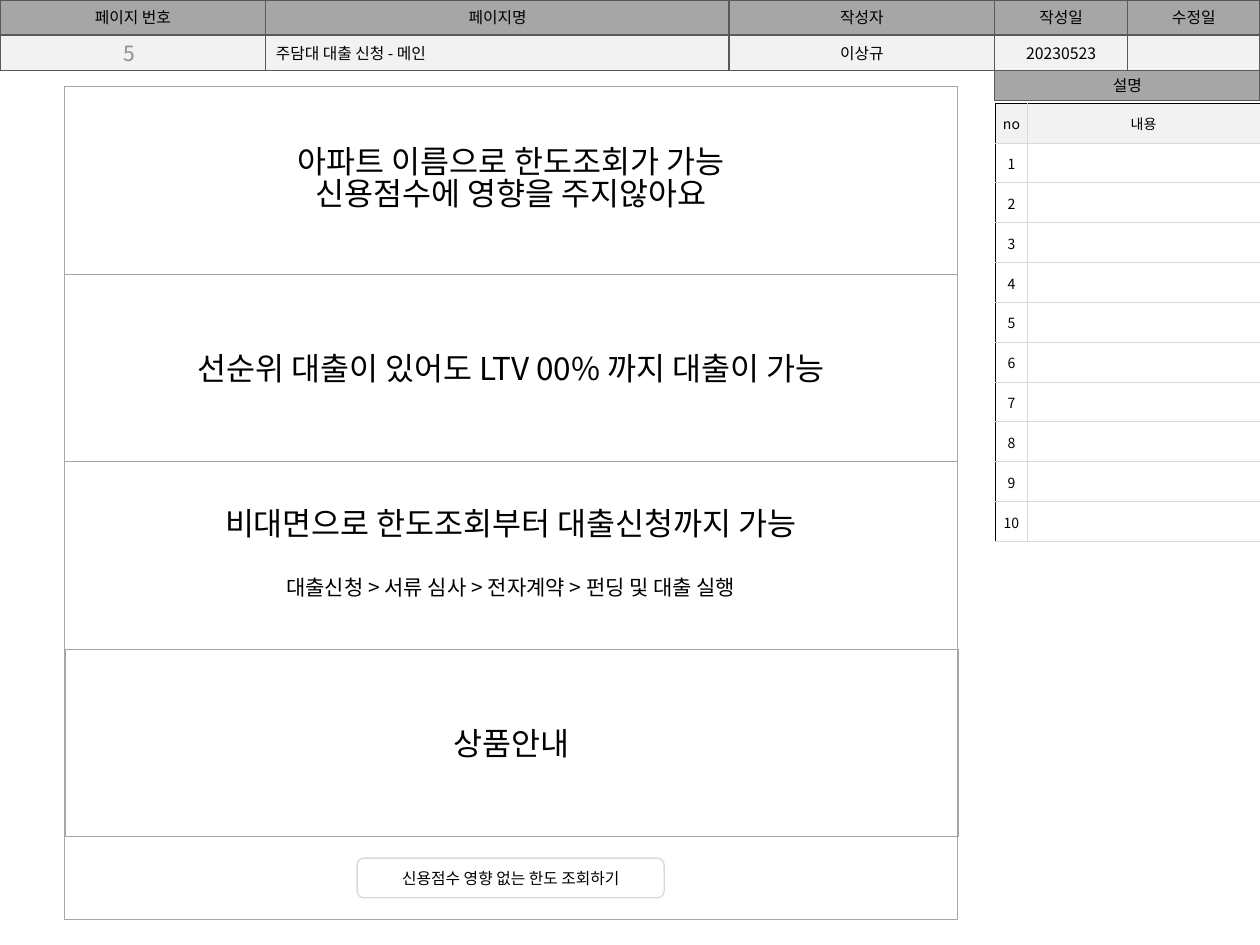
from itertools import pairwise

from lxml.etree import SubElement
from pptx import Presentation
from pptx.dml.color import RGBColor
from pptx.enum.shapes import MSO_SHAPE as Shape
from pptx.enum.text import MSO_ANCHOR as Anchor, PP_ALIGN as Align
from pptx.oxml.ns import qn
from pptx.util import Cm, Pt

THEME = {
    "font": "Noto Sans CJK KR",
    "ink": "000000", "muted": "8C8C8C", "head": "A6A6A6", "pale": "F2F2F2",
    "frame": "595959", "panel": "A6A6A6", "grid": "D9D9D9",
    "title": 18, "steps": 12, "label": 9, "note": 8,
    "frame_width": 0.75, "panel_width": 0.25, "grid_width": 0.5,
}

# Lengths are centimetres.
HEADER_EDGES = [0, 5.36, 14.7, 20.05, 22.73, 25.4]
HEADER_ROW = 0.71
HEADER = [
    ("head", ["페이지 번호", "페이지명", "작성자", "작성일", "수정일"]),
    ("pale", ["", "", "이상규", "20230523", ""]),
]
PAGE_NUMBER = "5"
PAGE_NAME = "주담대 대출 신청 - 메인"

NOTES_TITLE = "설명"
NOTES = [("no", "내용")] + [(str(number), "") for number in range(1, 11)]
NOTES_LEFT, NOTES_TOP, NOTES_HEIGHT = 20.07, 2.08, 8.84
NOTES_COLUMNS = [0.64, 4.69]

SCREEN = (1.3, 1.74, 18, 16.8)
PANEL_HEIGHT = 3.78
# Each panel: its left edge and its lines as (text, size, space before in points).
PANELS = [
    (1.3, [("아파트 이름으로 한도조회가 가능", "title", 0),
           ("신용점수에 영향을 주지않아요", "title", 0)]),
    (1.3, [("선순위 대출이 있어도 LTV 00% 까지 대출이 가능", "title", 0)]),
    (1.3, [("비대면으로 한도조회부터 대출신청까지 가능", "title", 0),
           ("대출신청 > 서류 심사 > 전자계약 > 펀딩 및 대출 실행", "steps", 21)]),
    (1.32, [("상품안내", "title", 0)]),
]
BUTTON = (7.2, 17.3, 6.19, 0.8)
BUTTON_TEXT = "신용점수 영향 없는 한도 조회하기"


def color(name):
    return RGBColor.from_string(THEME[name])


def set_values(target, values):
    for name, value in values.items():
        setattr(target, name, value)


def write(frame, lines, align=Align.CENTER, ink="ink"):
    """Fill a text frame with (text, size, space before) lines."""
    for index, (text, size, gap) in enumerate(lines):
        para = frame.add_paragraph() if index else frame.paragraphs[0]
        set_values(para, {"alignment": align, "space_before": Pt(gap)})
        if len(lines) > 1:
            para.line_spacing = 0.83
        span = para.add_run()
        span.text = text
        set_values(span.font, {"name": THEME["font"], "size": Pt(THEME[size])})
        span.font.color.rgb = color(ink)
        east_asian = SubElement(span.font._element, qn("a:ea"))
        east_asian.set("typeface", THEME["font"])


def add_box(page, place, lines=(), fill=None, line="frame", width="frame_width",
            kind=Shape.RECTANGLE):
    box = page.shapes.add_shape(kind, *map(Cm, place))
    box.shadow.inherit = False
    if fill:
        box.fill.solid()
        box.fill.fore_color.rgb = color(fill)
    else:
        box.fill.background()
    box.line.color.rgb = color(line)
    box.line.width = Pt(THEME[width])
    set_values(box.text_frame, {"word_wrap": True, "vertical_anchor": Anchor.MIDDLE})
    write(box.text_frame, lines)


def add_label(page, place, text, size, align, anchor, ink):
    label = page.shapes.add_textbox(*map(Cm, place))
    set_values(label.text_frame, {"word_wrap": True, "vertical_anchor": anchor})
    write(label.text_frame, [(text, size, 0)], align, ink)


def add_header(page):
    for row, (fill, texts) in enumerate(HEADER):
        for (left, right), text in zip(pairwise(HEADER_EDGES), texts):
            lines = [(text, "label", 0)] if text else []
            add_box(page, (left, row * HEADER_ROW, right - left, HEADER_ROW), lines, fill)
    add_label(page, (1.9, 0.71, 1.07, 0.71), PAGE_NUMBER, "steps",
              Align.RIGHT, Anchor.MIDDLE, "muted")
    add_label(page, (5.31, 0.76, 9.42, 0.64), PAGE_NAME, "label",
              Align.LEFT, Anchor.TOP, "ink")


def set_borders(cell, edges):
    """Put the borders, given as {side: colour name}, ahead of the cell's fill."""
    properties = cell._tc.get_or_add_tcPr()
    for position, (side, name) in enumerate(edges.items()):
        border = SubElement(properties, qn(f"a:ln{side}"), w=str(Pt(THEME["grid_width"])))
        fill = SubElement(border, qn("a:solidFill"))
        SubElement(fill, qn("a:srgbClr"), val=THEME[name])
        properties.insert(position, border)


def add_notes(page):
    left, right = HEADER_EDGES[3], HEADER_EDGES[-1]
    add_box(page, (left, 2 * HEADER_ROW, right - left, 0.61),
            [(NOTES_TITLE, "label", 0)], "head")
    table = page.shapes.add_table(
        len(NOTES), len(NOTES_COLUMNS), Cm(NOTES_LEFT), Cm(NOTES_TOP),
        Cm(sum(NOTES_COLUMNS)), Cm(NOTES_HEIGHT)).table
    set_values(table, {"first_row": False, "horz_banding": False})
    for column, width in zip(table.columns, NOTES_COLUMNS):
        column.width = Cm(width)
    for row, texts in enumerate(NOTES):
        for column, text in enumerate(texts):
            cell = table.cell(row, column)
            set_values(cell, {
                "margin_left": Cm(0.02), "margin_right": Cm(0.02),
                "margin_top": Cm(0.02), "margin_bottom": 0,
                "vertical_anchor": Anchor.MIDDLE})
            if row == 0:
                cell.fill.solid()
                cell.fill.fore_color.rgb = color("pale")
            else:
                cell.fill.background()
            set_borders(cell, {
                "L": "grid" if column else "ink", "R": "ink" if column else "grid",
                "T": "grid" if row else "ink", "B": "grid"})
            if text:
                write(cell.text_frame, [(text, "note", 0)])
            else:
                SubElement(cell.text_frame.paragraphs[0]._p, qn("a:endParaRPr"),
                           sz=str(THEME["note"] * 100))


def add_screen(page):
    add_box(page, SCREEN, line="panel", width="panel_width")
    _, top, width, _ = SCREEN
    for index, (left, lines) in enumerate(PANELS):
        place = (left, top + index * PANEL_HEIGHT, width, PANEL_HEIGHT)
        add_box(page, place, lines, line="panel", width="panel_width")
    add_box(page, BUTTON, [(BUTTON_TEXT, "label", 0)], line="grid",
            kind=Shape.ROUNDED_RECTANGLE)


def main():
    deck = Presentation()
    set_values(deck, {"slide_width": Cm(25.4), "slide_height": Cm(19.05)})
    page = deck.slides.add_slide(deck.slide_layouts[6])
    add_header(page)
    add_notes(page)
    add_screen(page)
    deck.save("out.pptx")


if __name__ == "__main__":
    main()
